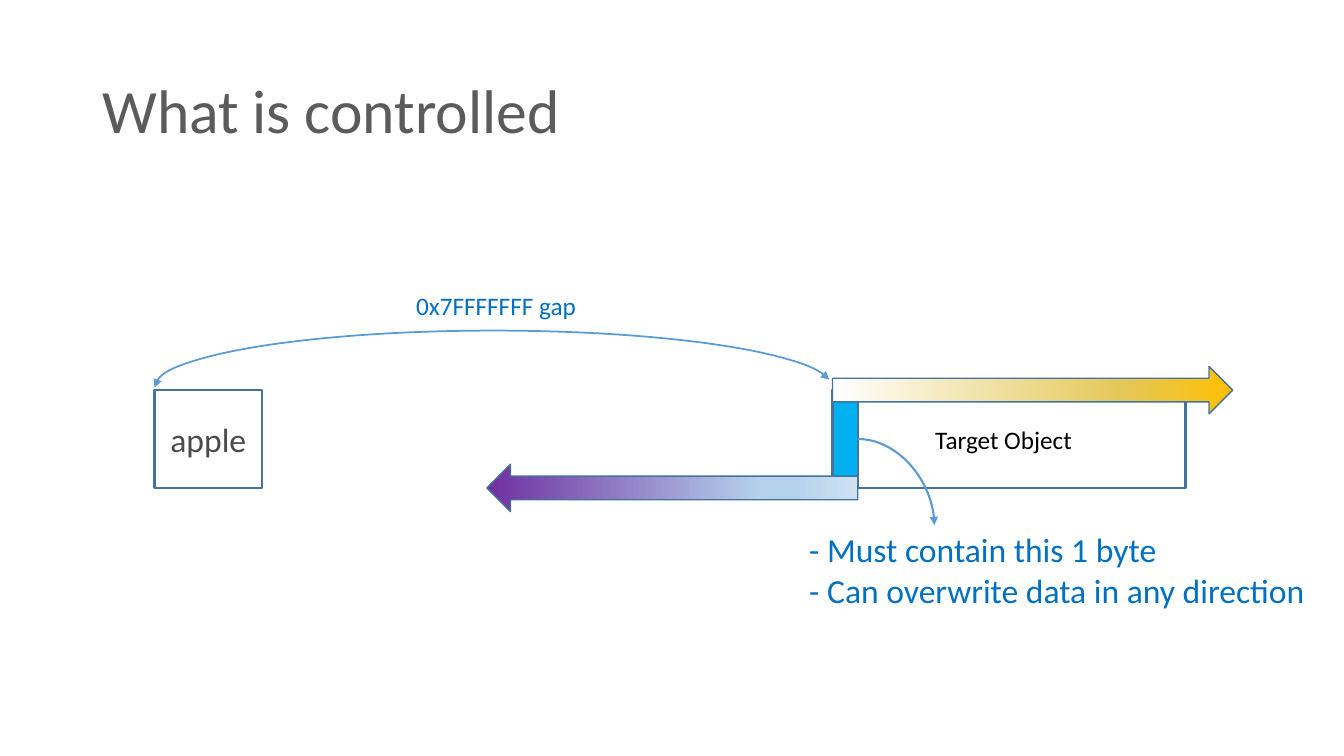
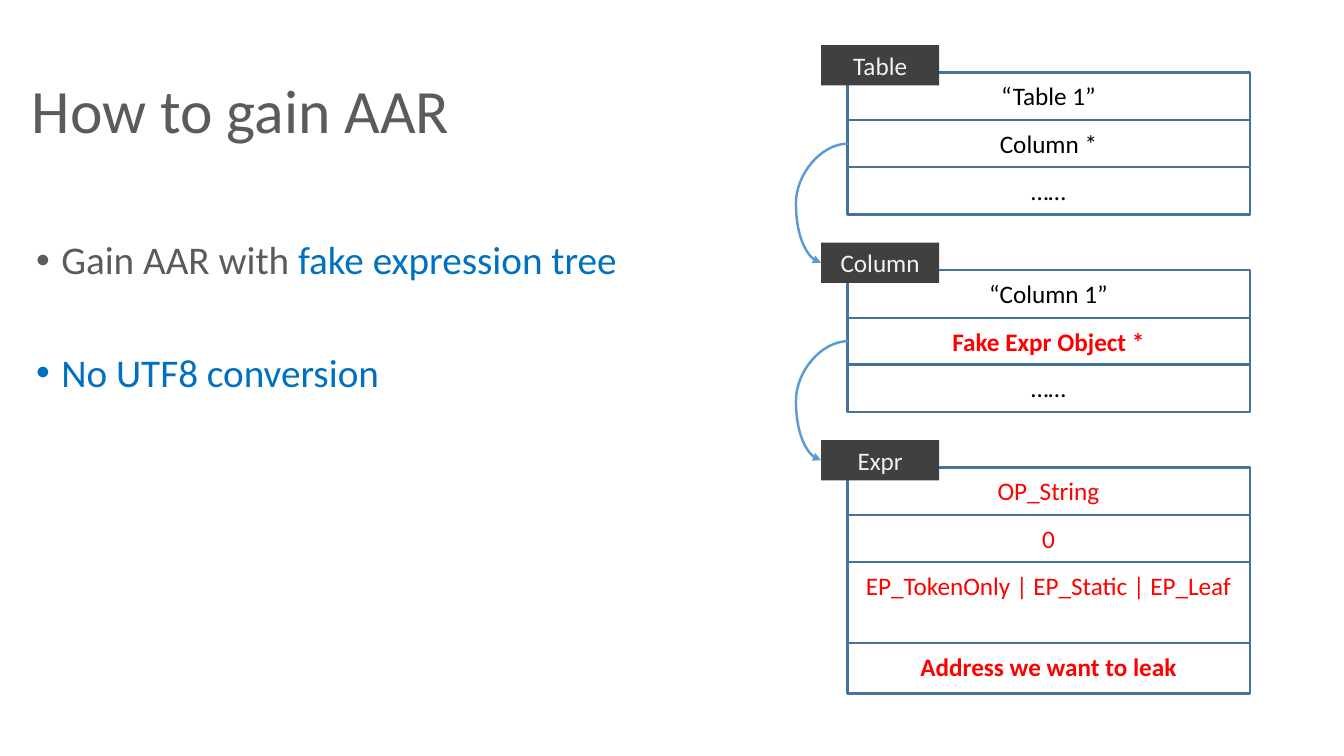
from collections import namedtuple
from itertools import accumulate

from lxml.etree import SubElement
from pptx import Presentation
from pptx.dml.color import RGBColor
from pptx.enum.shapes import MSO_CONNECTOR as Connector, MSO_SHAPE as Shape
from pptx.enum.text import MSO_ANCHOR as Anchor, PP_ALIGN as Align
from pptx.oxml.ns import qn
from pptx.util import Emu, Inches, Pt

COLUMNS, ROWS = 80, 45
CELL = Inches(7.5) / ROWS
FONT = "Calibri"
COLORS = {
    "title": "5B5B5B",
    "apple": "4B4B4B",
    "black": "000000",
    "accent": "0070C0",
    "fake": "FF0000",
    "outline": "43739E",
    "divider": "41719C",
    "pointer": "5B9BD5",
    "byte": "00B0F0",
    "tag": "404040",
    "tag_text": "F2F2F2",
}
FORWARD = [(0, "FFC000"), (27, "E4C758"), (100, "FFFFFF")]
BACKWARD = [(0, "7030A0"), (74, "B5D2EC"), (83, "B5D2EC"), (100, "CEE1F2")]
CENTERED = {"alignment": Align.CENTER}
TITLE_FORMAT = {"line_spacing": 0.9}

Box = namedtuple("Box", "left top width height")
Text = namedtuple("Text", "words color size bold", defaults=(18, False))


def cells(count):
    return Emu(round(count * CELL))


def inside(box, left, top, width, height):
    return Box(box.left + left, box.top + top, width, height)


def color(name):
    return RGBColor.from_string(COLORS[name])


def set_format(target, values):
    for name, value in values.items():
        setattr(target, name, value)


def write(paragraph, texts, values):
    set_format(paragraph, values)
    for text in texts:
        run = paragraph.add_run()
        run.text = text.words
        set_format(run.font, {"name": FONT, "size": Pt(text.size), "bold": text.bold})
        run.font.color.rgb = color(text.color)


def add_text(slide, box, lines, values={}, wrap=True, anchor=Anchor.TOP):
    frame = slide.shapes.add_textbox(*map(cells, box)).text_frame
    set_format(frame, {"word_wrap": wrap, "vertical_anchor": anchor})
    for index, texts in enumerate(lines):
        paragraph = frame.add_paragraph() if index else frame.paragraphs[0]
        write(paragraph, texts, values)
    return frame


def add_shape(slide, kind, box, fill=None, line="outline", width=1.75):
    shape = slide.shapes.add_shape(kind, *map(cells, box))
    shape.shadow.inherit = False
    if fill:
        shape.fill.solid()
        shape.fill.fore_color.rgb = color(fill)
    else:
        shape.fill.background()
    if line:
        shape.line.color.rgb = color(line)
        shape.line.width = Pt(width)
    else:
        shape.line.fill.background()
    return shape


def add_arrowheads(shape, *ends):
    outline = shape.element.spPr.find(qn("a:ln"))
    for end in ends:
        SubElement(outline, qn(f"a:{end}"), type="triangle")


def add_line(slide, kind, start, finish, line, width):
    connector = slide.shapes.add_connector(kind, *map(cells, (*start, *finish)))
    connector.line.color.rgb = color(line)
    connector.line.width = Pt(width)
    SubElement(connector.element.spPr, qn("a:effectLst"))
    return connector


def add_pointer(slide, start, finish, width, bulge=None):
    pointer = add_line(slide, Connector.CURVE, start, finish, "pointer", width)
    add_arrowheads(pointer, "tailEnd")
    geometry = pointer.element.spPr.find(qn("a:prstGeom"))
    if bulge is None:
        geometry.set("prst", "curvedConnector2")
    else:
        guides = geometry.find(qn("a:avLst"))
        SubElement(guides, qn("a:gd"), name="adj1", fmla=f"val {round(bulge * 100000)}")


def add_gradient_arrow(slide, box, stops, rotation=0):
    arrow = add_shape(slide, Shape.RIGHT_ARROW, box, width=1)
    arrow.rotation = rotation
    arrow.fill.gradient()
    arrow.fill.gradient_angle = 180
    stop_list = arrow.element.spPr.find(qn("a:gradFill")).find(qn("a:gsLst"))
    for stop in list(stop_list):
        stop_list.remove(stop)
    for position, value in stops:
        stop = SubElement(stop_list, qn("a:gs"), pos=str(position * 1000))
        SubElement(stop, qn("a:srgbClr"), val=value)


def add_title(slide, words, left):
    box = Box(left, 2.4, 69, 8.7)
    add_text(slide, box, [[Text(words, "title", 44)]], TITLE_FORMAT, anchor=Anchor.MIDDLE)


def add_memory_diagram(slide, box):
    top, height, target_left, byte_width = 6.22, 5.82, 40.36, 1.5
    byte_right = target_left + byte_width
    arrow_height, back_width = 2.82, 22.08
    add_shape(slide, Shape.RECTANGLE, inside(box, target_left, top, byte_width, height), "byte")
    apple = add_shape(slide, Shape.RECTANGLE, inside(box, 0, top, 6.4, height))
    apple.text_frame.vertical_anchor = Anchor.MIDDLE
    write(apple.text_frame.paragraphs[0], [Text("apple", "apple", 24)], CENTERED)
    add_shape(slide, Shape.RECTANGLE, inside(box, target_left, top, 21, height))
    arrow_top = top - arrow_height / 2
    add_gradient_arrow(slide, inside(box, target_left, arrow_top, 23.82, arrow_height), FORWARD)
    add_gradient_arrow(
        slide,
        inside(box, byte_right - back_width, arrow_top + height, back_width, arrow_height),
        BACKWARD,
        180,
    )
    arc = add_shape(slide, Shape.ARC, inside(box, 0, 2.68, target_left, 6.78), None, "pointer", 1.25)
    arc.adjustments[0], arc.adjustments[1] = 107.99, 215.2
    add_arrowheads(arc, "headEnd", "tailEnd")
    add_text(slide, inside(box, 14.98, 0, 12.96, 2.4), [[Text("0x7FFFFFFF gap", "accent")]], wrap=False)
    add_pointer(
        slide,
        (box.left + byte_right, box.top + top + height / 2),
        (box.left + 46.42, box.top + 14.26),
        1.5,
    )
    notes = ["- Must contain this 1 byte", "- Can overwrite data in any direction"]
    add_text(
        slide,
        inside(box, 38.38, 14.2, 30.84, 5.46),
        [[Text(note, "accent", 24)] for note in notes],
        wrap=False,
    )
    add_text(slide, inside(box, 45.88, 7.96, 10.74, 2.4), [[Text("Target Object", "black")]], wrap=False)


def add_bullets(slide, box, bullets):
    frame = add_text(slide, box, bullets, {"line_spacing": 0.9})
    for index, paragraph in enumerate(frame.paragraphs):
        if index:
            paragraph.space_before = Pt(50)
        properties = paragraph._p.get_or_add_pPr()
        properties.set("marL", str(Inches(0.25)))
        properties.set("indent", str(-Inches(0.25)))
        SubElement(properties, qn("a:buFont"), typeface="Arial")
        SubElement(properties, qn("a:buChar"), char="•")


def add_struct(slide, box, name, fields, heights):
    add_shape(slide, Shape.RECTANGLE, box)
    tag = add_shape(slide, Shape.RECTANGLE, inside(box, -1.58, -1.64, 7.02, 2.4), "tag", None)
    tag.text_frame.vertical_anchor = Anchor.TOP
    write(tag.text_frame.paragraphs[0], [Text(name, "tag_text")], CENTERED)
    tops = accumulate(heights[:-1], initial=0)
    for field, top, height in zip(fields, tops, heights):
        y = box.top + top
        if top:
            add_line(slide, Connector.STRAIGHT, (box.left, y), (box.left + box.width, y), "divider", 1.5)
        add_text(slide, inside(box, 0.48, top + 0.18, box.width - 1, height - 0.38), [[field]], CENTERED)


def add_struct_chain(slide, box, structs):
    pitch = 11.76
    for index, (name, fields, heights) in enumerate(structs):
        struct = inside(box, 0, index * pitch, box.width, sum(heights))
        add_struct(slide, struct, name, fields, heights)
        if index < len(structs) - 1:
            start = (box.left, struct.top + heights[0] + heights[1] / 2)
            finish = (box.left - 1.58, struct.top + pitch - 0.44)
            add_pointer(slide, start, finish, 1.75, 1.95)


def add_control_slide(presentation):
    slide = presentation.slides.add_slide(presentation.slide_layouts[6])
    add_title(slide, "What is controlled", 5.5)
    add_memory_diagram(slide, Box(9.2, 17, 70, 20))


def add_read_slide(presentation):
    slide = presentation.slides.add_slide(presentation.slide_layouts[6])
    short = (2.84, 2.78, 2.84)
    structs = [
        ("Table", [Text(words, "black") for words in ("“Table 1”", "Column *", "……")], short),
        (
            "Column",
            [
                Text("“Column 1”", "black"),
                Text("Fake Expr Object *", "fake", bold=True),
                Text("……", "black"),
            ],
            short,
        ),
        (
            "Expr",
            [
                Text("OP_String", "fake"),
                Text("0", "fake"),
                Text("EP_TokenOnly | EP_Static | EP_Leaf", "fake"),
                Text("Address we want to leak", "fake", bold=True),
            ],
            (2.84, 2.78, 4.82, 3),
        ),
    ]
    add_struct_chain(slide, Box(50.46, 4.32, 23.94, 37), structs)
    add_title(slide, "How to gain AAR", 1.3)
    bullets = [
        [Text("Gain AAR with ", "title", 28), Text("fake expression tree", "accent", 28)],
        [Text("No UTF8 conversion", "accent", 28)],
    ]
    add_bullets(slide, Box(1.56, 14.04, 43.26, 30), bullets)


def main():
    presentation = Presentation()
    set_format(presentation, {"slide_width": cells(COLUMNS), "slide_height": cells(ROWS)})
    add_control_slide(presentation)
    add_read_slide(presentation)
    presentation.save("out.pptx")


if __name__ == "__main__":
    main()
